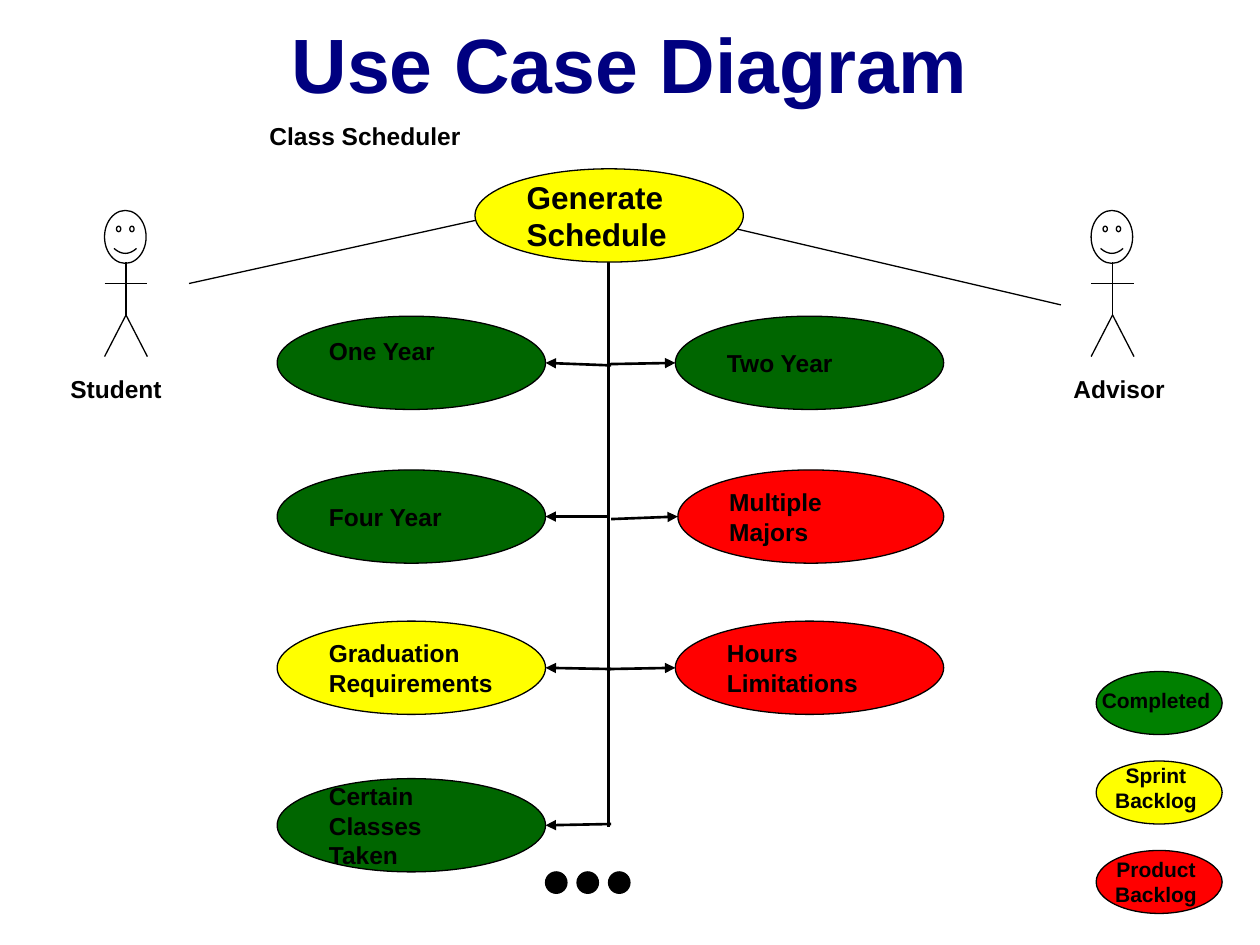
"""Build the class scheduler use case diagram slide."""
from dataclasses import dataclass

from lxml import etree
from pptx import Presentation
from pptx.dml.color import RGBColor
from pptx.enum.shapes import MSO_CONNECTOR, MSO_SHAPE
from pptx.enum.text import MSO_ANCHOR, MSO_AUTO_SIZE, PP_ALIGN
from pptx.oxml.ns import qn
from pptx.util import Inches, Pt

OVAL, FACE = MSO_SHAPE.OVAL, MSO_SHAPE.SMILEY_FACE
STRAIGHT = MSO_CONNECTOR.STRAIGHT
TOP, MIDDLE = MSO_ANCHOR.TOP, MSO_ANCHOR.MIDDLE
LEFT, CENTER = PP_ALIGN.LEFT, PP_ALIGN.CENTER
FIXED = MSO_AUTO_SIZE.NONE

BLACK, NAVY, DONE = "000000", "000080", "006600"
GREEN, YELLOW, RED = "008000", "FFFF00", "FF0000"
COLUMNS = (2.2, 5.36)
ROWS = (2.51, 3.73, 4.93, 6.18)
CASE_WIDTH, CASE_HEIGHT = 2.13, 0.74
SPINE = 4.83
LEGEND_TOP, LEGEND_STEP = 5.33, 0.71


@dataclass
class UseCase:
    text: str
    column: int
    row: int
    color: str
    start: tuple[float, float]
    inset: float = 0
    anchor: MSO_ANCHOR = MIDDLE


@dataclass
class Actor:
    name: str
    center: float
    label_left: float
    label_width: float


@dataclass
class LegendEntry:
    text: str
    color: str
    label_top: float
    label_height: float


USE_CASES = (
    UseCase("Hours Limitations", 1, 2, RED, (SPINE, 5.31)),
    UseCase("Four Year", 0, 1, DONE, (4.82, 4.1)),
    UseCase("Multiple Majors", 1, 1, RED, (4.85, 4.12), inset=0.02),
    UseCase("Graduation Requirements", 0, 2, YELLOW, (4.85, 5.31)),
    UseCase("Certain Classes Taken", 0, 3, DONE, (4.85, 6.54)),
    UseCase("One Year", 0, 0, DONE, (4.85, 2.9), anchor=TOP),
    UseCase("Two Year", 1, 0, DONE, (SPINE, 2.89)),
)
ACTORS = (Actor("Student", 1, 0.46, 1.12), Actor("Advisor", 8.83, 8.42, 1.19))
LEGEND = (
    LegendEntry("Completed", GREEN, 5.41, 0.34),
    LegendEntry("Sprint\nBacklog", YELLOW, 6, 0.5),
    LegendEntry("Product\nBacklog", RED, 6.75, 0.5),
)


def rgb(color: str) -> RGBColor:
    """Turn a hex string into a colour."""
    return RGBColor.from_string(color)


def write(shape, text: str, size: float, color: str = BLACK,
          align: PP_ALIGN = LEFT, anchor: MSO_ANCHOR = TOP) -> None:
    """Fill a shape with bold, wrapped text."""
    frame = shape.text_frame
    frame.text = text
    settings = {
        "word_wrap": True, "auto_size": FIXED, "vertical_anchor": anchor,
        "margin_left": Inches(0.1), "margin_right": Inches(0.1),
        "margin_top": Inches(0.05), "margin_bottom": Inches(0.05),
    }
    for name, value in settings.items():
        setattr(frame, name, value)
    for paragraph in frame.paragraphs:
        paragraph.alignment = align
        for run in paragraph.runs:
            font = {"name": "Arial", "size": Pt(size), "bold": True}
            for name, value in font.items():
                setattr(run.font, name, value)
            run.font.color.rgb = rgb(color)


def add_outline(shapes, kind: MSO_SHAPE, box: tuple, fill: str | None = None):
    """Add a thinly outlined shape, filled if a colour is given."""
    shape = shapes.add_shape(kind, *map(Inches, box))
    shape.shadow.inherit = False
    if fill:
        shape.fill.solid()
        shape.fill.fore_color.rgb = rgb(fill)
    else:
        shape.fill.background()
    shape.line.color.rgb = rgb(BLACK)
    shape.line.width = Pt(0.75)
    return shape


def add_line(shapes, start: tuple, end: tuple, width: float = 0.75,
             arrow: bool = False) -> None:
    """Add a black line, with an arrowhead at its end if wanted."""
    line = shapes.add_connector(STRAIGHT, *map(Inches, (*start, *end)))
    line.line.color.rgb = rgb(BLACK)
    line.line.width = Pt(width)
    properties = line._element.spPr
    if arrow:
        outline = properties.find(qn("a:ln"))
        etree.SubElement(outline, qn("a:tailEnd"), type="triangle")
    etree.SubElement(properties, qn("a:effectLst"))


def add_label(shapes, text: str, box: tuple, size: float = 14,
              align: PP_ALIGN = LEFT) -> None:
    """Add a text box."""
    write(shapes.add_textbox(*map(Inches, box)), text, size, align=align)


def add_actor(shapes, actor: Actor) -> None:
    """Draw a stick figure as a group with its name below."""
    figure = shapes.add_group_shape().shapes
    middle, left, right = actor.center, actor.center - 0.17, actor.center + 0.17
    hip = (middle, 2.5)
    add_outline(figure, FACE, (left, 1.67, 0.33, 0.42))
    add_line(figure, (middle, 2.08), hip)
    add_line(figure, hip, (right, 2.83))
    add_line(figure, hip, (left, 2.83))
    add_line(figure, (left, 2.25), (right, 2.25))
    add_label(shapes, actor.name,
              (actor.label_left, 2.92, actor.label_width, 0.33))


def add_use_case(shapes, case: UseCase) -> None:
    """Draw a use case oval and the arrow from the spine to it."""
    left, top = COLUMNS[case.column] + case.inset, ROWS[case.row]
    width = CASE_WIDTH - case.inset
    oval = add_outline(shapes, OVAL, (left, top, width, CASE_HEIGHT), case.color)
    write(oval, case.text, 14, anchor=case.anchor)
    edge = left if case.column else left + width
    add_line(shapes, case.start, (edge, top + CASE_HEIGHT / 2), 1.5, arrow=True)


def main() -> None:
    """Assemble and save the slide."""
    presentation = Presentation()
    presentation.slide_width, presentation.slide_height = Inches(10), Inches(7.5)
    slide = presentation.slides.add_slide(presentation.slide_layouts[5])
    shapes = slide.shapes
    title = shapes.title
    title_box = {"left": 0.75, "top": 0.08, "width": 8.5, "height": 0.83}
    for name, value in title_box.items():
        setattr(title, name, Inches(value))
    write(title, "Use Case Diagram", 44, NAVY, CENTER, MIDDLE)
    add_label(shapes, "Class Scheduler", (2.04, 0.91, 1.81, 0.8))

    for actor in ACTORS:
        add_actor(shapes, actor)
    add_line(shapes, (1.5, 2.25), (3.77, 1.75))
    add_line(shapes, (8.42, 2.42), (5.73, 1.79))

    for index in range(3):
        add_outline(shapes, OVAL, (4.33 + index * 0.25, 6.92, 0.17, 0.17), BLACK)
    for index, entry in enumerate(LEGEND):
        top = LEGEND_TOP + index * LEGEND_STEP
        add_outline(shapes, OVAL, (8.7, top, 1, 0.5), entry.color)
        add_label(shapes, entry.text,
                  (8.5, entry.label_top, 1.35, entry.label_height), 12, CENTER)

    add_line(shapes, (SPINE, 2.08), (SPINE, 6.56), 1.5)
    for case in USE_CASES:
        add_use_case(shapes, case)
    root = add_outline(shapes, OVAL, (3.77, 1.34, CASE_WIDTH, CASE_HEIGHT), YELLOW)
    write(root, "Generate Schedule", 18, anchor=MIDDLE)
    presentation.save("out.pptx")


main()
